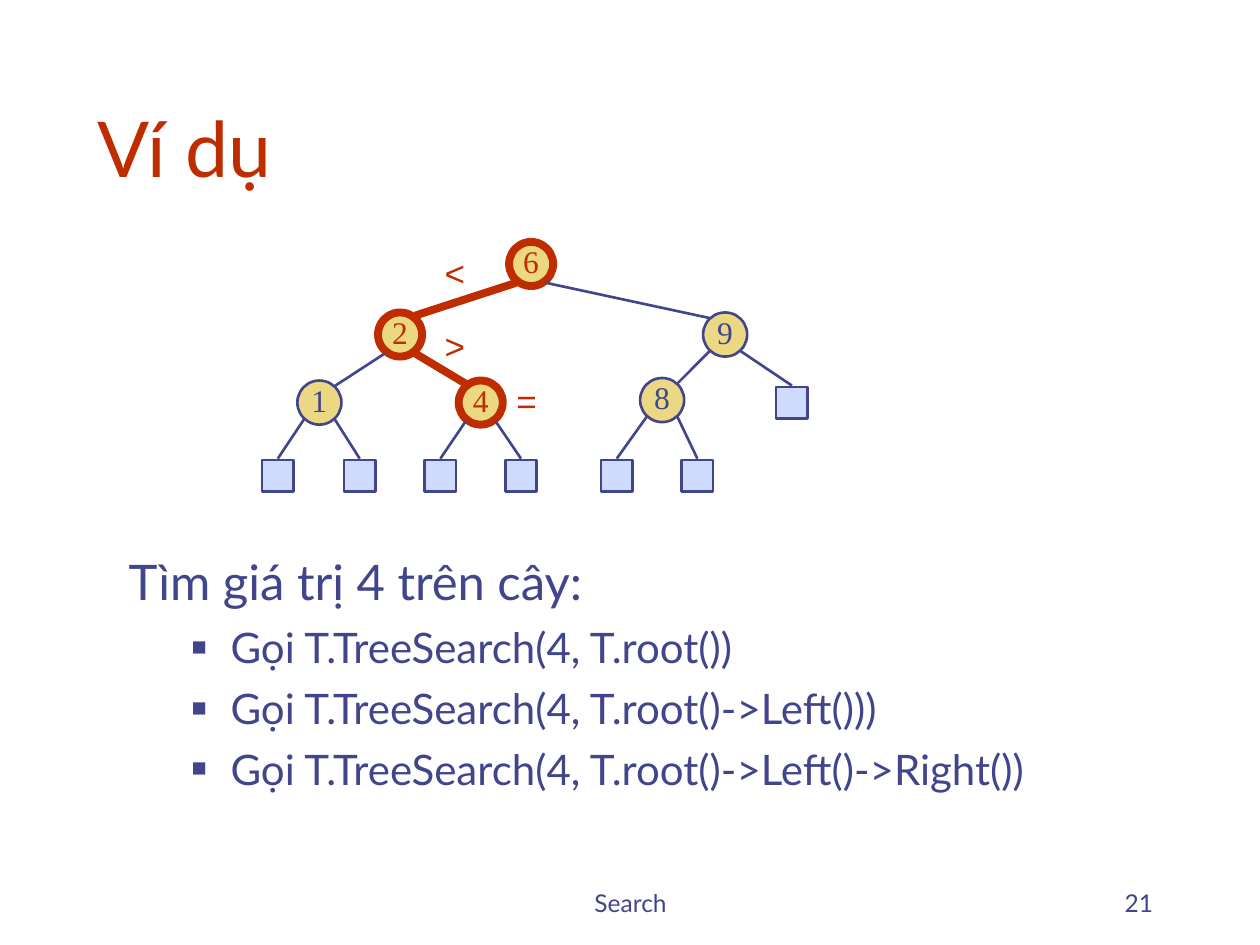
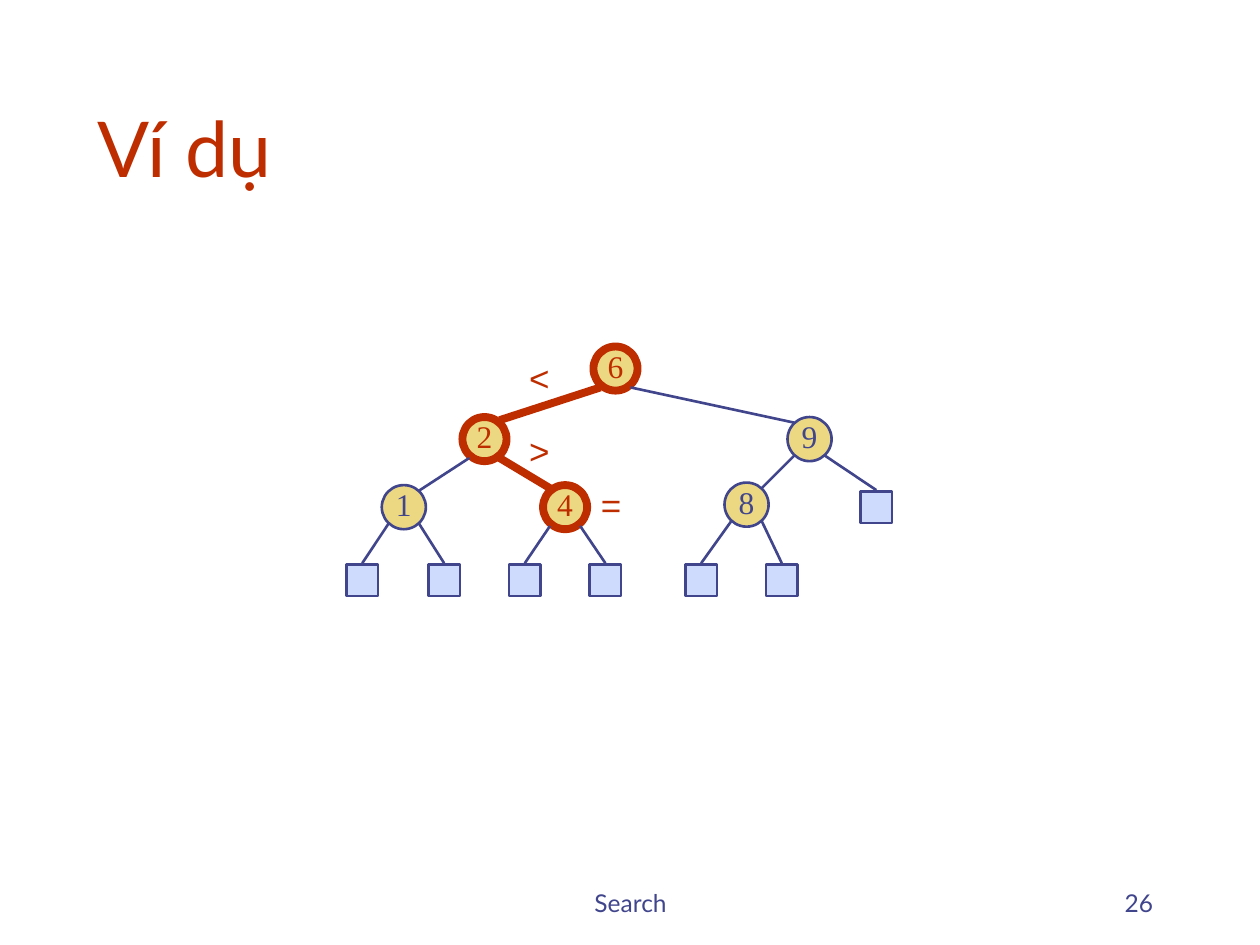
from lxml.etree import SubElement
from pptx import Presentation
from pptx.dml.color import RGBColor
from pptx.enum.shapes import MSO_CONNECTOR, MSO_SHAPE
from pptx.enum.text import MSO_ANCHOR, MSO_AUTO_SIZE, PP_ALIGN
from pptx.oxml.ns import qn
from pptx.util import Inches, Pt

RED = RGBColor(0xBE, 0x2D, 0x00)
BLUE = RGBColor(0x40, 0x45, 0x8C)
GOLD = RGBColor(0xEC, 0xD8, 0x82)
PALE = RGBColor(0xCF, 0xDB, 0xFD)
FONT = "Lato"
NODE, LEAF = 0.35, 0.25

NODES = {
    "6": (4.04, 1.92),
    "9": (5.58, 2.48),
    "2": (3, 2.48),
    "4": (3.64, 3.02),
    "1": (2.36, 3.02),
    "8": (5.08, 3),
}
TRAIL = "624"
EDGES = ["62", "69", "21", "24", "98"]
LEAVES = [
    ("1", 2.08, 3.65), ("1", 2.73, 3.65),
    ("4", 3.37, 3.65), ("4", 4.01, 3.65),
    ("8", 4.77, 3.65), ("8", 5.41, 3.65),
    ("9", 6.16, 3.07),
]
SIGNS = [("<", 3.43, 1.95, 0.36), (">", 3.43, 2.53, 0.36), ("=", 3.97, 2.96, 0.42)]
STEPS = [
    "Gọi T.TreeSearch(4, T.root())",
    "Gọi T.TreeSearch(4, T.root()->Left()))",
    "Gọi T.TreeSearch(4, T.root()->Left()->Right())",
]
SLIDES = [("21", 0, 0, STEPS), ("26", 0.67, 0.83, [])]


def style(para, size, color, align=PP_ALIGN.LEFT, font=FONT):
    para.alignment = align
    for run in para.runs:
        run.font.name = font
        run.font.size = Pt(size)
        run.font.color.rgb = color


def paint(shape, fill, color, width):
    shape.shadow.inherit = False
    shape.fill.solid()
    shape.fill.fore_color.rgb = fill
    shape.line.color.rgb = color
    shape.line.width = Pt(width)


deck = Presentation()
deck.slide_width, deck.slide_height = Inches(10), Inches(7.5)

for page, dx, dy, steps in SLIDES:
    slide = deck.slides.add_slide(deck.slide_layouts[1 if steps else 5])

    for text, left, width, align in [
        ("Search", 3.42, 3.17, PP_ALIGN.CENTER),
        (page, 7.17, 2.08, PP_ALIGN.RIGHT),
    ]:
        foot = slide.shapes.add_textbox(Inches(left), Inches(6.83), Inches(width), Inches(0.5))
        foot.text_frame.word_wrap = True
        foot.text_frame.vertical_anchor = MSO_ANCHOR.BOTTOM
        foot.text_frame.text = text
        style(foot.text_frame.paragraphs[0], 14, BLUE, align)

    title = slide.shapes.title
    title.left, title.top = Inches(0.67), Inches(0.33)
    title.width, title.height = Inches(8.5), Inches(1.25)
    title.text_frame.text = "Ví dụ"
    title.text_frame.auto_size = MSO_AUTO_SIZE.NONE
    title.text_frame.vertical_anchor = MSO_ANCHOR.BOTTOM
    style(title.text_frame.paragraphs[0], 44, RED)

    if steps:
        body = slide.placeholders[1]
        body.left, body.top = Inches(0.92), Inches(4.33)
        body.width, body.height = Inches(8.67), Inches(2.42)
        frame = body.text_frame
        frame.auto_size = MSO_AUTO_SIZE.NONE
        frame.text = "Tìm giá trị 4 trên cây:"
        head = frame.paragraphs[0]
        head.space_before = Pt(7)
        style(head, 28, BLUE)
        props = head._p.get_or_add_pPr()
        props.set("marL", str(Inches(0.38)))
        props.set("indent", str(Inches(-0.38)))
        SubElement(props, qn("a:buNone"))
        for step in steps:
            para = frame.add_paragraph()
            para.text = step
            para.level = 1
            para.space_before = Pt(6)
            style(para, 24, BLUE)
            props = para._p.get_or_add_pPr()
            props.set("marL", str(Inches(0.81)))
            props.set("indent", str(Inches(-0.31)))
            tint = SubElement(props, qn("a:buClr"))
            SubElement(tint, qn("a:srgbClr"), val=str(BLUE))
            SubElement(props, qn("a:buSzPct"), val="60000")
            SubElement(props, qn("a:buFont"), typeface="Arial")
            SubElement(props, qn("a:buChar"), char="■")

    tree = slide.shapes.add_group_shape().shapes
    for key, (x, y) in NODES.items():
        color, width = (RED, 4.5) if key in TRAIL else (BLUE, 1.5)
        node = tree.add_shape(
            MSO_SHAPE.OVAL, Inches(x + dx), Inches(y + dy), Inches(NODE), Inches(NODE))
        paint(node, GOLD, color, width)
        frame = node.text_frame
        frame.margin_left = frame.margin_top = frame.margin_right = 0
        frame.margin_bottom = Inches(0.05)
        frame.word_wrap = False
        frame.vertical_anchor = MSO_ANCHOR.MIDDLE
        frame.text = key
        style(frame.paragraphs[0], 18, color, PP_ALIGN.CENTER, "Times New Roman")

    links = []
    for top, low in EDGES:
        x, y = NODES[low]
        side = 1 if x < NODES[top][0] else -1
        reach = 0.15 if low in TRAIL else 0.13
        links.append((top, x + NODE / 2 + side * 0.12, y + NODE / 2 - reach, low in TRAIL))
    for top, x, y in LEAVES:
        leaf = tree.add_shape(
            MSO_SHAPE.RECTANGLE, Inches(x + dx), Inches(y + dy), Inches(LEAF), Inches(LEAF))
        paint(leaf, PALE, BLUE, 1.5)
        links.append((top, x + LEAF / 2, y - 0.01, False))

    for top, x, y, hot in links:
        left, above = NODES[top]
        mid = left + NODE / 2
        start = mid + (0.12 if x > mid else -0.12)
        reach = 0.15 if top in TRAIL else 0.13
        link = tree.add_connector(
            MSO_CONNECTOR.STRAIGHT, Inches(x + dx), Inches(y + dy),
            Inches(start + dx), Inches(above + NODE / 2 + reach + dy))
        link.line.color.rgb = RED if hot else BLUE
        link.line.width = Pt(4.5 if hot else 1.5)
        SubElement(link._element.spPr, qn("a:effectLst"))

    for sign, x, y, width in SIGNS:
        mark = tree.add_textbox(Inches(x + dx), Inches(y + dy), Inches(width), Inches(0.44))
        mark.text_frame.word_wrap = False
        mark.text_frame.text = sign
        style(mark.text_frame.paragraphs[0], 20, RED, PP_ALIGN.CENTER, "Arial")

deck.save("out.pptx")
